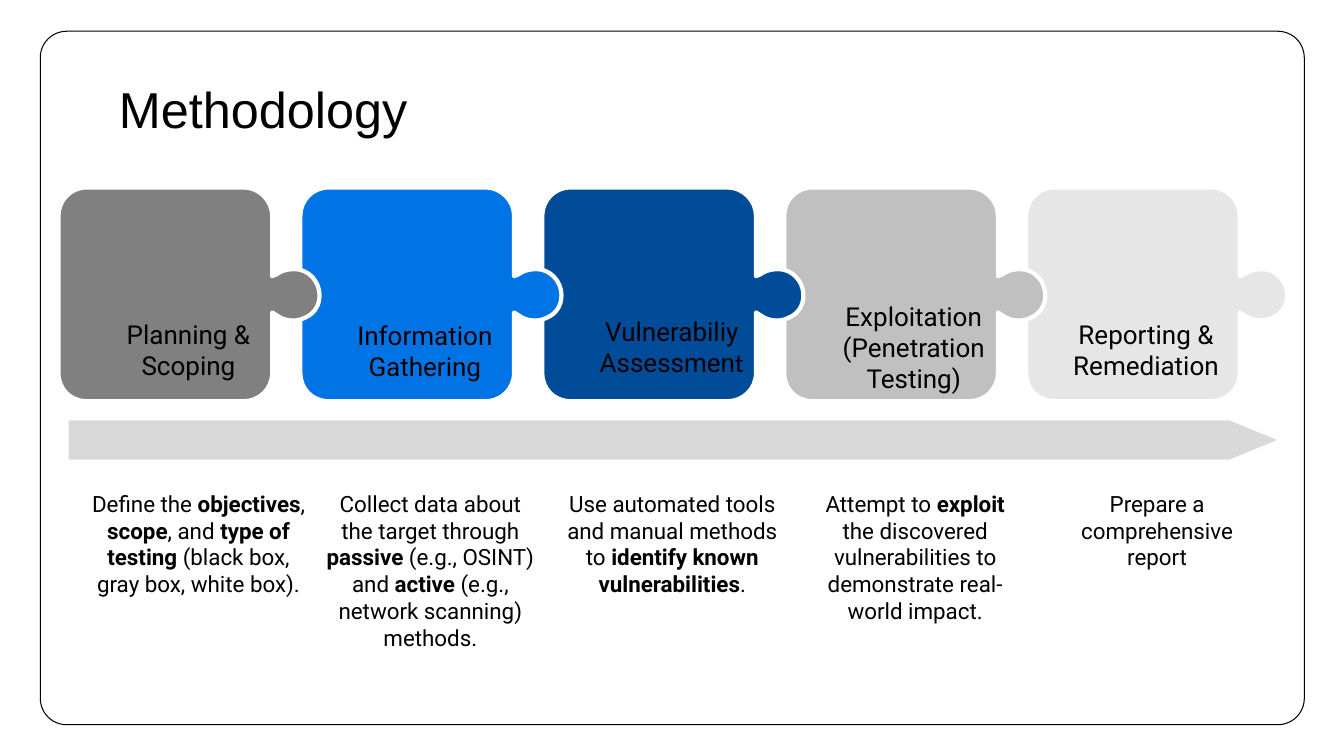
import pptx
import pptx.util
import pptx.dml.color
import pptx.enum.shapes
import pptx.enum.text
import pptx.oxml.ns
import lxml.etree

Inches = pptx.util.Inches
Pt = pptx.util.Pt
RGBColor = pptx.dml.color.RGBColor
Shapes = pptx.enum.shapes.MSO_SHAPE
Align = pptx.enum.text.PP_ALIGN
Anchor = pptx.enum.text.MSO_ANCHOR
qn = pptx.oxml.ns.qn

BLACK = RGBColor(0x00, 0x00, 0x00)
WHITE = RGBColor(0xFF, 0xFF, 0xFF)
DARK_GRAY = RGBColor(0x80, 0x80, 0x80)
BLUE = RGBColor(0x00, 0x73, 0xE5)
NAVY = RGBColor(0x00, 0x4C, 0x99)
SILVER = RGBColor(0xC0, 0xC0, 0xC0)
PALE_GRAY = RGBColor(0xE6, 0xE6, 0xE6)
ARROW_GRAY = RGBColor(0xD9, 0xD9, 0xD9)

# Puzzle outline in inches from its top left corner: two numbers make
# a straight line, six make a Bezier curve
PIECE_START = (0.28, 0)
PIECE_OUTLINE = [
    (0.12, 0, 0, 0.13, 0, 0.28),
    (0, 1.84),
    (0, 2, 0.12, 2.12, 0.28, 2.12),
    (1.84, 2.12),
    (1.99, 2.12, 2.12, 2, 2.12, 1.84),
    (2.12, 1.24),
    (2.15, 1.26, 2.17, 1.27, 2.2, 1.29),
    (2.24, 1.31, 2.28, 1.32, 2.33, 1.32),
    (2.37, 1.32, 2.41, 1.31, 2.45, 1.29),
    (2.54, 1.25, 2.59, 1.17, 2.59, 1.07),
    (2.59, 0.93, 2.48, 0.81, 2.34, 0.81),
    (2.29, 0.81, 2.24, 0.82, 2.2, 0.84),
    (2.17, 0.86, 2.15, 0.87, 2.12, 0.88),
    (2.12, 0.28),
    (2.12, 0.13, 1.99, 0, 1.84, 0),
]
PIECE_LEFT, PIECE_TOP, PIECE_STEP = 0.58, 1.86, 2.4

# Each step: colour, label runs, label box, description runs, description box.
# A run is a string, or a string with its own format.
BOLD = {"bold": True}
STEPS = [
    (DARK_GRAY, ["Planning & Scoping"], (1.08, 3.15, 1.58, 0.63),
     ["Define the ", ("objectives", BOLD), ", ", ("scope", BOLD), ", and ",
      ("type of testing", BOLD), " (black box, gray box, white box)."],
     (0.77, 4.73, 2.4, 1.16)),
    (BLUE, ["Information Gathering"], (3.37, 3.16, 1.69, 0.63),
     ["Collect data about the target through ", ("passive", BOLD),
      " (e.g., OSINT) and ", ("active", BOLD),
      " (e.g., network scanning) methods."],
     (3.07, 4.73, 2.4, 1.79)),
    (NAVY, ["Vulnerabiliy Assessmen", ("t", {"font": "Calibri"})],
     (5.76, 3.12, 1.81, 0.63),
     ["Use automated tools and manual methods to ",
      ("identify known vulnerabilities", BOLD), "."],
     (5.47, 4.73, 2.4, 1.16)),
    (SILVER, ["Exploitation (Penetration Testing)"], (8.12, 3.13, 1.89, 0.63),
     ["Attempt to ", ("exploit", BOLD), " the discovered vulnerabilities "
      "to demonstrate real-world impact."],
     (7.88, 4.73, 2.4, 1.16)),
    (PALE_GRAY, ["Reporting & Remediation"], (10.47, 3.15, 1.8, 0.63),
     ["Prepare a comprehensive report"], (10.28, 4.73, 2.4, 1.16)),
]


def add_run(paragraph, text, font="Roboto", size=16, bold=False, color=BLACK):
    run = paragraph.add_run()
    run.text = text
    run.font.name = font
    run.font.size = Pt(size)
    run.font.bold = bold
    run.font.color.rgb = color


def bend_segments(shape, outline):
    """Turn the straight segments that have control points into curves."""
    lines = list(shape.element.iter(qn("a:lnTo")))
    for line, (*controls, _, _) in zip(lines, outline):
        if not controls:
            continue
        curve = lxml.etree.Element(qn("a:cubicBezTo"))
        for x, y in (controls[:2], controls[2:]):
            lxml.etree.SubElement(curve, qn("a:pt"),
                                  x=str(int(Inches(x))), y=str(int(Inches(y))))
        curve.append(line[0])
        line.getparent().replace(line, curve)


class SlideBuilder:
    inset = Inches(0.13)

    def __init__(self, slide):
        self.shapes = slide.shapes

    def paint(self, shape, fill=None, line=None, width=0.75):
        shape.shadow.inherit = False
        if fill is None:
            shape.fill.background()
        else:
            shape.fill.solid()
            shape.fill.fore_color.rgb = fill
        if line is None:
            shape.line.fill.background()
        else:
            shape.line.color.rgb = line
            shape.line.width = Pt(width)

    def preset(self, kind, box, adjustment, **paint):
        shape = self.shapes.add_shape(kind, *map(Inches, box))
        shape.adjustments[0] = adjustment
        self.paint(shape, **paint)

    def piece(self, left, top, color):
        start, *corners = [(Inches(left + x), Inches(top + y)) for *_, x, y
                           in [PIECE_START, *PIECE_OUTLINE]]
        builder = self.shapes.build_freeform(*start)
        builder.add_line_segments(corners, close=True)
        shape = builder.convert_to_shape()
        bend_segments(shape, PIECE_OUTLINE)
        self.paint(shape, fill=color, line=WHITE, width=3)

    def text(self, runs, box, align=Align.CENTER, anchor=Anchor.TOP,
             space_after=0, **style):
        frame = self.shapes.add_textbox(*map(Inches, box)).text_frame
        frame.word_wrap = True
        frame.vertical_anchor = anchor
        frame.margin_left = frame.margin_right = self.inset
        frame.margin_top = frame.margin_bottom = self.inset
        paragraph = frame.paragraphs[0]
        paragraph.alignment = align
        paragraph.space_after = Pt(space_after)
        for run in runs:
            text, extra = (run, {}) if isinstance(run, str) else run
            add_run(paragraph, text, **{**style, **extra})


def main():
    presentation = pptx.Presentation()
    presentation.slide_width = Inches(40 / 3)
    presentation.slide_height = Inches(7.5)
    slide = presentation.slides.add_slide(presentation.slide_layouts[6])
    builder = SlideBuilder(slide)

    # Frame and title
    builder.preset(Shapes.ROUNDED_RECTANGLE, (0.4, 0.31, 12.54, 6.88), 0.038,
                   line=BLACK)
    builder.text(["Methodology"], (1.05, 0.65, 11.23, 0.84), align=Align.LEFT,
                 font="Arial", size=36)

    # Puzzle pieces, from the right so that each knob covers the next piece
    for index in reversed(range(len(STEPS))):
        builder.piece(PIECE_LEFT + index * PIECE_STEP, PIECE_TOP, STEPS[index][0])

    # Descriptions, then labels
    for *_, description, box in STEPS:
        builder.text(description, box, space_after=21.4)
    for _, label, box, *_ in STEPS:
        builder.text(label, box, anchor=Anchor.MIDDLE, size=18.6)

    # Timeline arrow
    builder.preset(Shapes.PENTAGON, (0.68, 4.17, 11.99, 0.39), 1.222,
                   fill=ARROW_GRAY)

    presentation.save("out.pptx")


if __name__ == "__main__":
    main()
